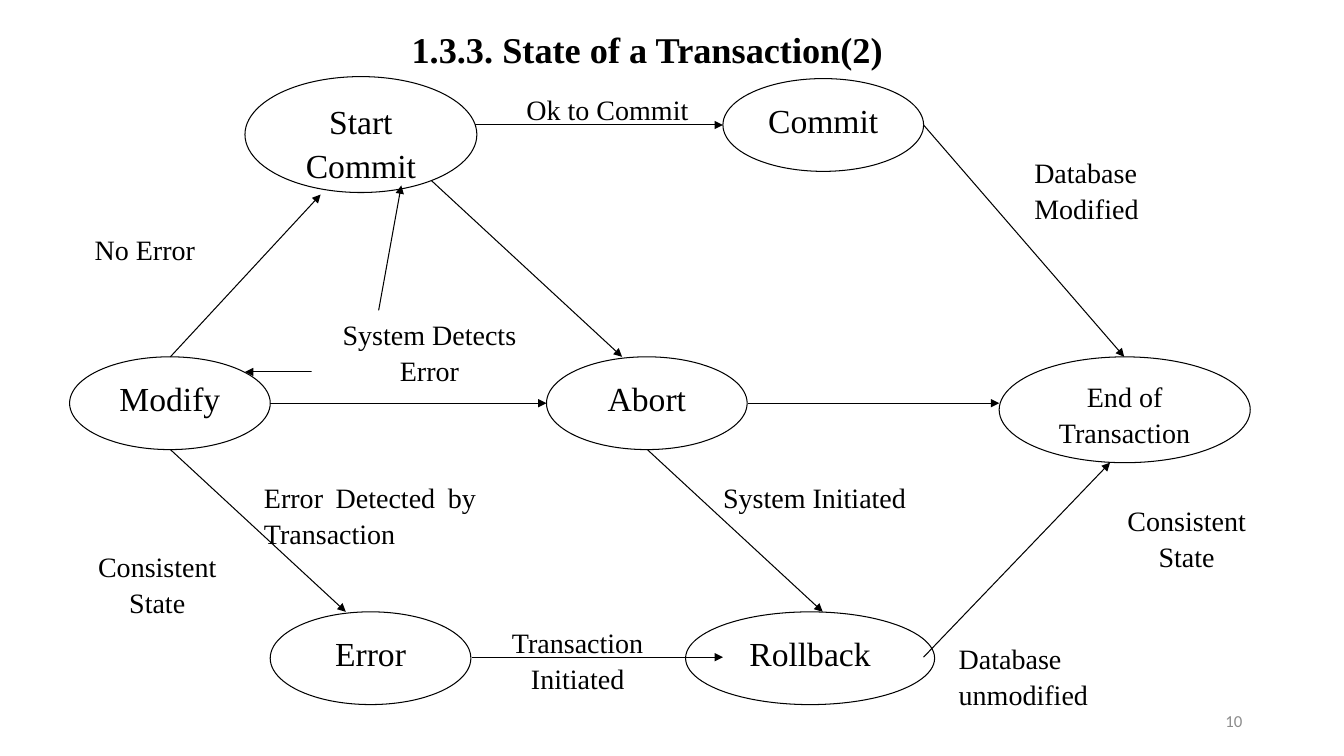
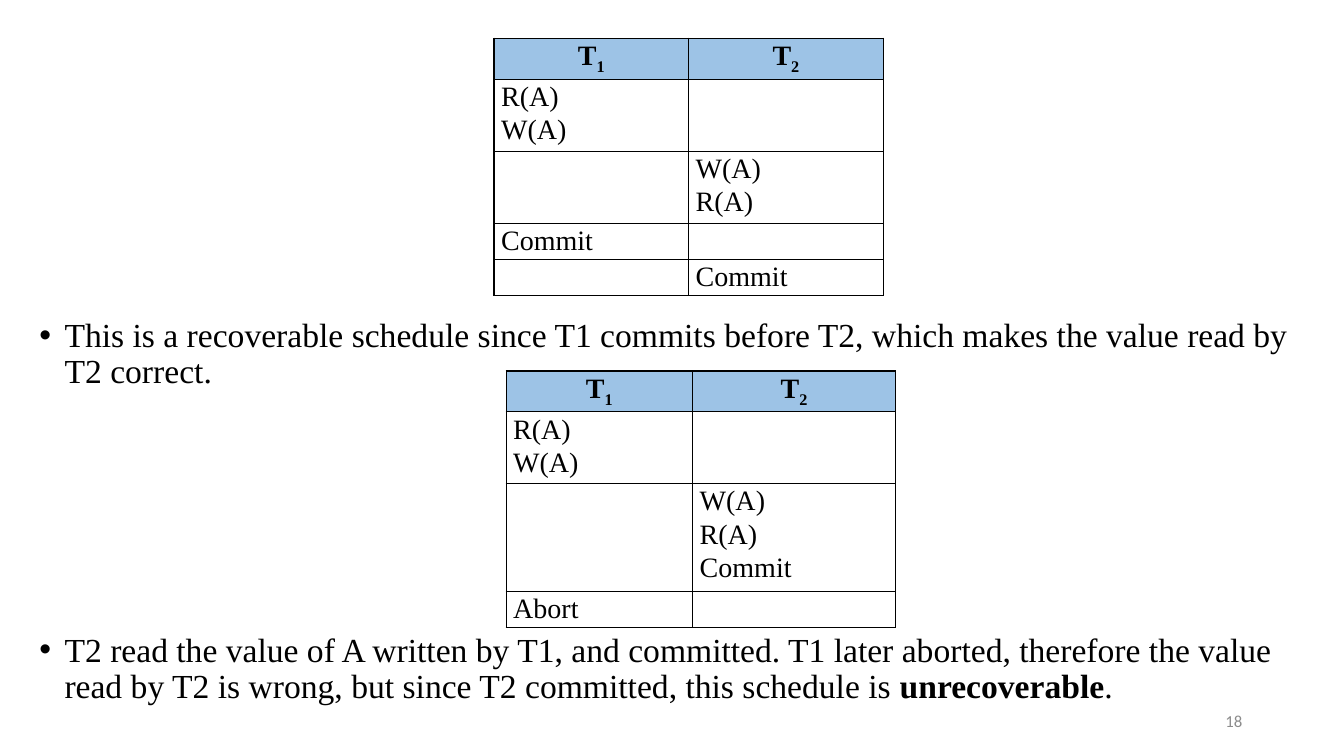
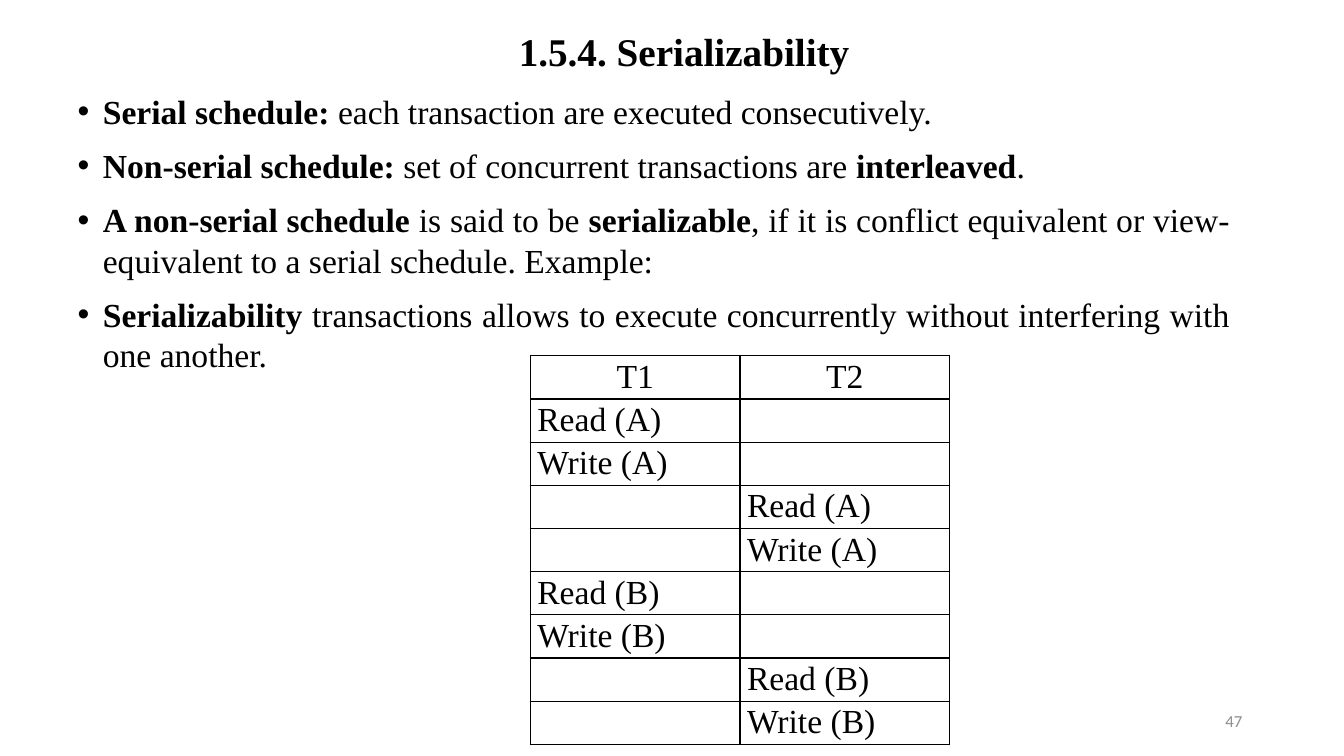
import copy

import lxml.etree
import pptx
import pptx.dml.color
import pptx.enum.shapes
import pptx.enum.text
import pptx.oxml
import pptx.oxml.ns
import pptx.util

Inches = pptx.util.Inches
Pt = pptx.util.Pt
RGBColor = pptx.dml.color.RGBColor
ALIGN = pptx.enum.text.PP_ALIGN
ANCHOR = pptx.enum.text.MSO_ANCHOR
SHAPE = pptx.enum.shapes.MSO_SHAPE
qn = pptx.oxml.ns.qn

BLACK = RGBColor(0x00, 0x00, 0x00)
WHITE = RGBColor(0xFF, 0xFF, 0xFF)
GREY = RGBColor(0x8C, 0x8C, 0x8C)
HEADER_BLUE = RGBColor(0x9D, 0xC3, 0xE6)

TITLE_AND_BODY, TITLE_ONLY = 1, 5


class Deck:
    font = "Times New Roman"
    number_font = "Calibri"

    def __init__(self):
        self.prs = pptx.Presentation()
        self.prs.slide_width = Inches(13.33)
        self.prs.slide_height = Inches(7.5)
        self.s = None

    def slide(self, layout, number):
        self.s = self.prs.slides.add_slide(self.prs.slide_layouts[layout])
        sp = self.s.shapes.add_textbox(*map(Inches, (9.42, 6.95, 3, 0.4)))
        tf = sp.text_frame
        tf.word_wrap = True
        tf.vertical_anchor = ANCHOR.MIDDLE
        p = tf.paragraphs[0]
        p.alignment = ALIGN.RIGHT
        p.text = str(number)
        self.style(p.runs[0], 12, name=self.number_font, color=GREY)

    def style(self, r, size, bold=False, name=None, color=BLACK):
        r.font.name = name or self.font
        r.font.size = Pt(size)
        r.font.bold = bold
        r.font.color.rgb = color

    def add_runs(self, p, text, size, bold=False):
        for i, part in enumerate(text.split("**")):
            for j, piece in enumerate(part.split("_")):
                if piece:
                    r = p.add_run()
                    r.text = piece
                    self.style(r, size, bold or i % 2 == 1)
                    if j % 2:
                        r.font._element.set("baseline", "-25000")

    def place(self, sp, box):
        sp.left, sp.top, sp.width, sp.height = map(Inches, box)
        tf = sp.text_frame
        tf.word_wrap = True
        tf.auto_size = pptx.enum.text.MSO_AUTO_SIZE.NONE
        return tf

    def title(self, text, box, size):
        tf = self.place(self.s.shapes.title, box)
        tf.vertical_anchor = ANCHOR.MIDDLE
        p = tf.paragraphs[0]
        p.alignment = ALIGN.CENTER
        p.line_spacing = 0.9
        self.add_runs(p, text, size, True)

    def remove_title(self):
        sp = self.s.shapes.title._element
        sp.getparent().remove(sp)

    def bullets(self, items, box, spacing, gap, align):
        tf = self.place(self.s.placeholders[1], box)
        tf.vertical_anchor = ANCHOR.TOP
        for i, text in enumerate(items):
            p = tf.add_paragraph() if i else tf.paragraphs[0]
            p.alignment = align
            p.line_spacing = spacing
            p.space_before = Pt(gap if i else 0)
            pPr = p._p.get_or_add_pPr()
            pPr.set("marL", str(Inches(0.25)))
            pPr.set("indent", str(Inches(-0.25)))
            lxml.etree.SubElement(pPr, qn("a:buFont")).set("typeface", "Arial")
            lxml.etree.SubElement(pPr, qn("a:buChar")).set("char", "•")
            self.add_runs(p, text, 24)

    def box(self, kind, text, box, size, align):
        sp = self.s.shapes.add_shape(kind, *map(Inches, box))
        sp.shadow.inherit = False
        sp.fill.solid()
        sp.fill.fore_color.rgb = WHITE
        tf = sp.text_frame
        tf.word_wrap = True
        tf.vertical_anchor = ANCHOR.TOP
        p = tf.paragraphs[0]
        p.alignment = align
        p.line_spacing = 1.07
        p.space_after = Pt(8)
        self.add_runs(p, text, size)
        return sp

    def label(self, text, box, align=ALIGN.CENTER):
        self.box(SHAPE.RECTANGLE, text, box, 20, align).line.fill.background()

    def state(self, text, box, size=24):
        sp = self.box(SHAPE.OVAL, text, box, size, ALIGN.CENTER)
        sp.line.color.rgb = BLACK
        sp.line.width = Pt(0.75)

    def arrow(self, x1, y1, x2, y2):
        c = self.s.shapes.add_connector(
            pptx.enum.shapes.MSO_CONNECTOR.STRAIGHT,
            *map(Inches, (x1, y1, x2, y2)))
        c.line.color.rgb = BLACK
        c.line.width = Pt(0.75)
        ln = c.line._get_or_add_ln()
        lxml.etree.SubElement(ln, qn("a:tailEnd")).set("type", "triangle")
        lxml.etree.SubElement(c._element.spPr, qn("a:effectLst"))

    def borders(self, cell):
        tcPr = cell._tc.get_or_add_tcPr()
        for i, side in enumerate(("lnL", "lnR", "lnT", "lnB")):
            ln = pptx.oxml.parse_xml(
                f'<a:{side} {pptx.oxml.ns.nsdecls("a")} w="{Pt(1)}"><a:solidFill>'
                f'<a:srgbClr val="{BLACK}"/></a:solidFill></a:{side}>')
            tcPr.insert(i, ln)

    def table(self, rows, left, top, widths, heights, size,
              header=None, header_bold=False, align=ALIGN.LEFT):
        frame = self.s.shapes.add_table(
            len(rows), len(widths), Inches(left), Inches(top),
            Inches(sum(widths)), Inches(sum(heights)))
        t = frame.table
        t.first_row = t.horz_banding = False
        for col, width in zip(t.columns, widths):
            col.width = Inches(width)
        for i, (row, height) in enumerate(zip(rows, heights)):
            t.rows[i].height = Inches(height)
            for j, text in enumerate(row):
                cell = t.cell(i, j)
                cell.margin_left = cell.margin_right = Inches(0.07)
                cell.margin_top = cell.margin_bottom = 0
                if header and i == 0:
                    cell.fill.solid()
                    cell.fill.fore_color.rgb = header
                else:
                    cell.fill.background()
                self.borders(cell)
                tf = cell.text_frame
                for k, line in enumerate(text.split("\n") if text else []):
                    p = tf.add_paragraph() if k else tf.paragraphs[0]
                    p.alignment = align if i else ALIGN.CENTER
                    p.line_spacing = 1.07
                    self.add_runs(p, line, size, header_bold and i == 0)
                    end = lxml.etree.SubElement(p._p, qn("a:endParaRPr"))
                    rPr = p.runs[0].font._element
                    end.attrib.update(rPr.attrib)
                    end.extend(copy.deepcopy(child) for child in rPr)


def transaction_states(d):
    d.slide(TITLE_ONLY, 10)
    d.title("1.3.3. State of a Transaction(2)", (1.02, 0.28, 10.8, 0.46), 25.9)
    for text, box in (
        ("Transaction Initiated", (4.86, 6.13, 1.74, 0.81)),
        ("Ok to Commit ", (4.96, 0.84, 2.2, 0.81)),
        ("System Initiated", (7, 4.69, 2.16, 0.92)),
        ("Consistent State", (0.69, 5.38, 1.74, 0.75)),
        ("Consistent State", (10.9, 4.92, 1.74, 0.91)),
    ):
        d.label(text, box)
    for text, box in (
        ("Database Modified", (10.16, 1.47, 1.74, 0.82)),
        ("Database unmodified", (9.41, 6.29, 2.22, 0.8)),
        ("Error Detected by Transaction", (2.52, 4.69, 2.3, 0.92)),
        ("No Error", (0.84, 2.23, 1.74, 0.69)),
    ):
        d.label(text, box, ALIGN.JUSTIFY)
    for ends in (
        (3.68, 3.69, 2.43, 3.69),
        (4.18, 1.7, 6.17, 3.54),
        (4.43, 1.24, 7.17, 1.24),
    ):
        d.arrow(*ends)
    d.state("End of Transaction", (9.91, 3.54, 2.49, 1.05), 20)
    for text, box in (
        ("Commit", (7.17, 0.78, 1.99, 0.92)),
        ("Abort", (5.42, 3.54, 1.99, 0.92)),
        ("Error", (2.68, 6.07, 1.99, 0.92)),
        ("Rollback", (6.8, 6.07, 2.47, 0.92)),
        ("Modify", (0.69, 3.54, 1.99, 0.92)),
        ("Start Commit", (2.43, 0.76, 2.3, 1.15)),
    ):
        d.state(text, box)
    for ends in (
        (9.16, 1.24, 11.15, 3.54),
        (4.68, 6.52, 7.17, 6.52),
        (6.42, 4.46, 8.16, 6.07),
        (7.42, 4, 9.91, 4),
        (9.16, 6.52, 11.01, 4.59),
        (1.69, 3.54, 3.18, 1.93),
        (2.68, 4, 5.42, 4),
        (1.69, 4.46, 3.43, 6.07),
        (3.73, 3.22, 3.98, 1.84),
    ):
        d.arrow(*ends)
    d.label("System Detects Error", (3.09, 3.08, 2.34, 0.75))


def recoverability(d):
    d.slide(TITLE_AND_BODY, 18)
    d.remove_title()
    d.bullets([
        "This is a recoverable schedule since T1 commits before T2, which makes "
        "the value read by T2 correct.",
        "T2 read the value of A written by T1, and committed. T1 later aborted, "
        "therefore the value read by T2 is wrong, but since T2 committed, this "
        "schedule is **unrecoverable**.",
    ], (0.29, 3.11, 12.84, 4.1), 0.9, 173, ALIGN.LEFT)
    start = [("T_1", "T_2"), ("R(A)\nW(A)", "")]
    d.table(start + [("", "W(A)\nR(A)\nCommit"), ("Abort", "")],
            5.02, 3.68, (1.85, 2.01), (0.38, 0.66, 0.99, 0.33), 20,
            HEADER_BLUE, True)
    d.table(start + [("", "W(A)\nR(A)"), ("Commit", ""), ("", "Commit")],
            4.9, 0.38, (1.93, 1.93), (0.38, 0.66, 0.66, 0.33, 0.33), 20,
            HEADER_BLUE, True)


def serializability(d):
    d.slide(TITLE_AND_BODY, 47)
    d.title("1.5.4. Serializability", (1.27, 0.3, 11.03, 0.46), 28)
    d.bullets([
        "**Serial schedule:** each transaction are executed consecutively.",
        "**Non-serial schedule:** set of concurrent transactions are "
        "**interleaved**.",
        "**A non-serial schedule** is said to be **serializable**, if it is "
        "conflict equivalent or view-equivalent to a serial schedule. Example: ",
        "**Serializability** transactions allows to execute concurrently without "
        "interfering with one another.",
    ], (0.67, 0.85, 11.63, 6.36), 1.0, 10, ALIGN.JUSTIFY)
    rows = [("T1", "T2")]
    for item in "AB":
        steps = (f"Read ({item}) ", f"Write ({item})")
        rows += [(step, "") for step in steps] + [("", step) for step in steps]
    d.table(rows, 5.26, 3.53, (2.08, 2.08), [0.39] * len(rows), 24,
            align=ALIGN.JUSTIFY)


def main():
    d = Deck()
    transaction_states(d)
    recoverability(d)
    serializability(d)
    d.prs.save("out.pptx")


if __name__ == "__main__":
    main()
